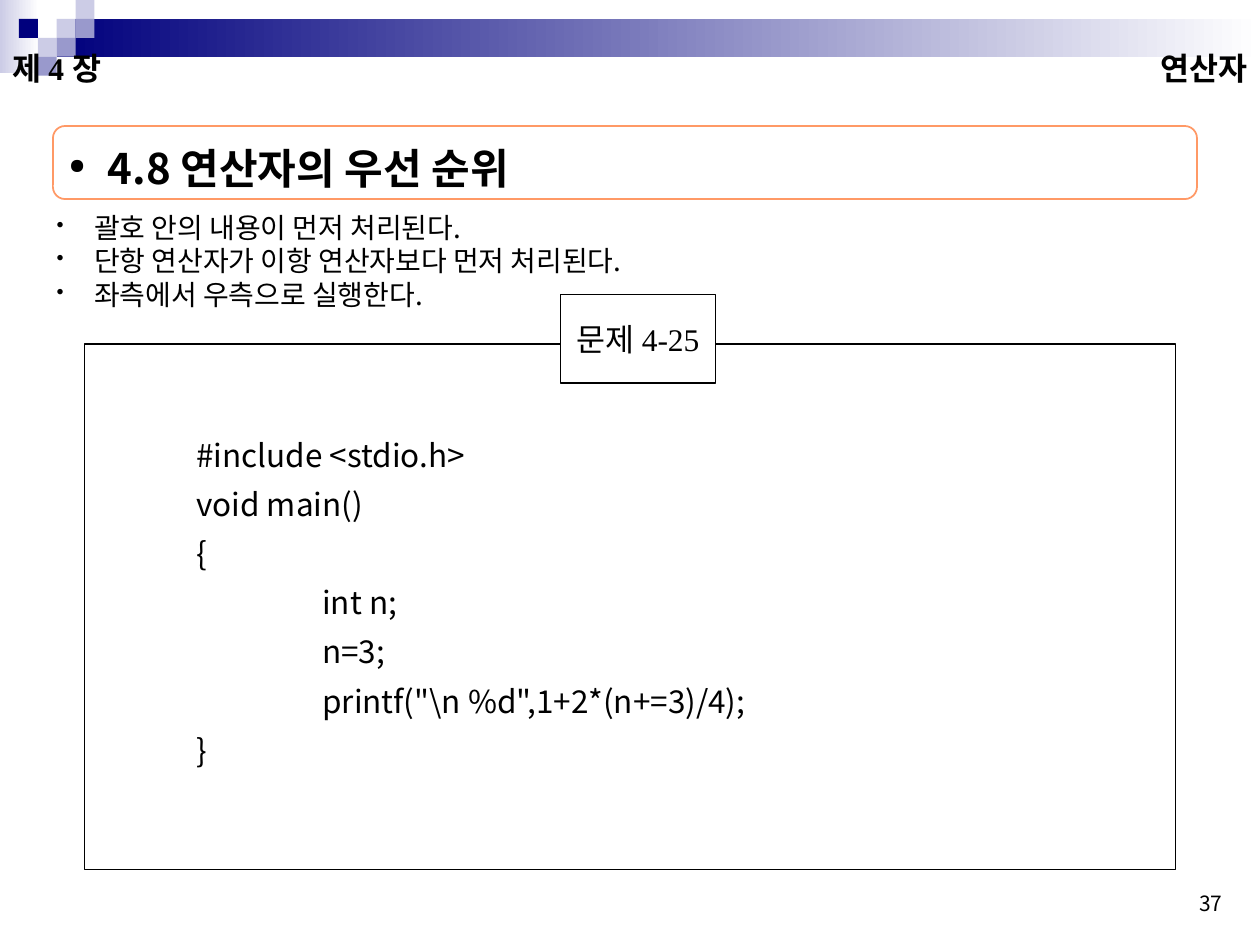
"""Build the operator precedence slide."""
from lxml import etree
from pptx import Presentation, util as u
from pptx.dml.color import RGBColor
from pptx.enum import shapes, text
from pptx.oxml import ns

NAVY = RGBColor(0x00, 0x00, 0x7D)
PALE = RGBColor(0xCC, 0xCC, 0xE6)
MID = RGBColor(0x99, 0x99, 0xCC)
CORAL = RGBColor(0xFF, 0x99, 0x66)
BLACK = RGBColor(0, 0, 0)
WHITE = RGBColor(0xFF, 0xFF, 0xFF)
SANS, SERIF = "Noto Sans CJK KR", "Times New Roman"
RECT, ROUND = shapes.MSO_SHAPE.RECTANGLE, shapes.MSO_SHAPE.ROUNDED_RECTANGLE
TOP, MIDDLE, BOTTOM = (text.MSO_ANCHOR.TOP, text.MSO_ANCHOR.MIDDLE,
                       text.MSO_ANCHOR.BOTTOM)
AL = text.PP_ALIGN

SIDE = 0.15
TILES = [(3, 1, PALE), (4, 0, PALE), (4, 1, MID), (2, 2, PALE),
         (1, 1, NAVY), (3, 2, MID), (2, 3, MID)]
BANDS = [((0, 0, 0.31, 0.58), PALE), ((0.45, 0.15, 9.55, 0.3), NAVY)]

TITLE = ["4.8 연산자의 우선 순위"]
RULES = ["괄호 안의 내용이 먼저 처리된다.",
         "단항 연산자가 이항 연산자보다 먼저 처리된다.",
         "좌측에서 우측으로 실행한다."]
CODE = ["#include <stdio.h>", "void main()", "{", "\tint n;", "\tn=3;",
        '\tprintf("\\n %d",1+2*(n+=3)/4);', "}"]
TEXTS = [
    ((7.52, 6.82, 2.28, 0.5), ["37"], BOTTOM, {"alignment": AL.RIGHT},
     {"size": u.Pt(12), "name": SANS}),
    ((6.5, 0.25, 3.5, 0.58), ["연산자"], MIDDLE, {"alignment": AL.RIGHT},
     {"size": u.Pt(18), "name": SERIF, "bold": True}),
    ((0, 0.25, 2.17, 0.58), ["제 4 장"], MIDDLE, {"alignment": AL.LEFT},
     {"size": u.Pt(18), "name": SERIF, "bold": True}),
    ((1.46, 3.32, 7.87, 2.83), CODE, MIDDLE, {"line_spacing": 1.3},
     {"size": u.Pt(18), "name": SANS}),
]


def add_sub(parent, tag, **attrs):
    node = etree.SubElement(parent, ns.qn("a:" + tag))
    for key, val in attrs.items():
        node.set(key, str(val))
    return node


def add_box(slide, box, kind=RECT, fill=None, line=None, width=0.75):
    shape = slide.shapes.add_shape(kind, *map(u.Inches, box))
    shape.shadow.inherit = False
    if fill is None:
        shape.fill.background()
    else:
        shape.fill.solid()
        shape.fill.fore_color.rgb = fill
    if line is None:
        shape.line.fill.background()
    else:
        shape.line.color.rgb = line
        shape.line.width = u.Pt(width)
    return shape


def add_band(slide, box, color):
    fill = add_box(slide, box).fill
    fill.gradient()
    fill.gradient_angle = 0
    for stop, shade in zip(fill.gradient_stops, (color, WHITE)):
        stop.color.rgb = shade


def set_marks(para, bullet):
    props = para._p.get_or_add_pPr()
    if bullet:
        char, size, indent = bullet
        props.set("marL", str(u.Inches(indent)))
        props.set("indent", str(-u.Inches(indent)))
        add_sub(add_sub(props, "buClr"), "srgbClr", val=BLACK)
        add_sub(props, "buSzPct", val=size * 1000)
        add_sub(props, "buChar", char=char)
    tabs = add_sub(props, "tabLst")
    for stop in range(1, 9):
        add_sub(tabs, "tab", pos=u.Inches(stop), algn="l")


def write(shape, lines, anchor, layout, style, bullet=None):
    frame = shape.text_frame
    frame.word_wrap = True
    frame.vertical_anchor = anchor
    for num, line in enumerate(lines):
        para = frame.add_paragraph() if num else frame.paragraphs[0]
        set_marks(para, bullet)
        for key, val in layout.items():
            setattr(para, key, val)
        run = para.add_run()
        run.text = line
        for key, val in style.items():
            setattr(run.font, key, val)
        run.font.color.rgb = BLACK
        add_sub(run._r.get_or_add_rPr(), "ea", typeface=SANS)


def add_text(slide, box, *args, **extra):
    write(slide.shapes.add_textbox(*map(u.Inches, box)), *args, **extra)


def main():
    deck = Presentation()
    deck.slide_width, deck.slide_height = u.Inches(10), u.Inches(7.5)
    slide = deck.slides.add_slide(deck.slide_layouts[6])

    for box, color in BANDS:
        add_band(slide, box, color)
    for col, row, color in TILES:
        add_box(slide, (col * SIDE, row * SIDE, SIDE, SIDE), fill=color)

    head = add_box(slide, (0.42, 1, 9.08, 0.58), ROUND, line=CORAL, width=1)
    write(head, TITLE, MIDDLE, {"alignment": AL.LEFT, "line_spacing": 1.2},
          {"size": u.Pt(24), "name": SANS, "bold": True}, ("●", 50, 0.31))
    for item in TEXTS:
        add_text(slide, *item)

    add_box(slide, (0.67, 2.73, 8.66, 4.17), line=BLACK)
    label = add_box(slide, (4.45, 2.34, 1.23, 0.7), fill=WHITE, line=BLACK)
    write(label, ["문제 4-25"], MIDDLE, {"alignment": AL.CENTER},
          {"size": u.Pt(18), "name": SERIF})
    add_text(slide, (0.35, 1.62, 9.25, 0.9), RULES, TOP,
             {"alignment": AL.JUSTIFY}, {"size": u.Pt(16), "name": SANS},
             bullet=("•", 75, 0.3))
    deck.save("out.pptx")


if __name__ == "__main__":
    main()
